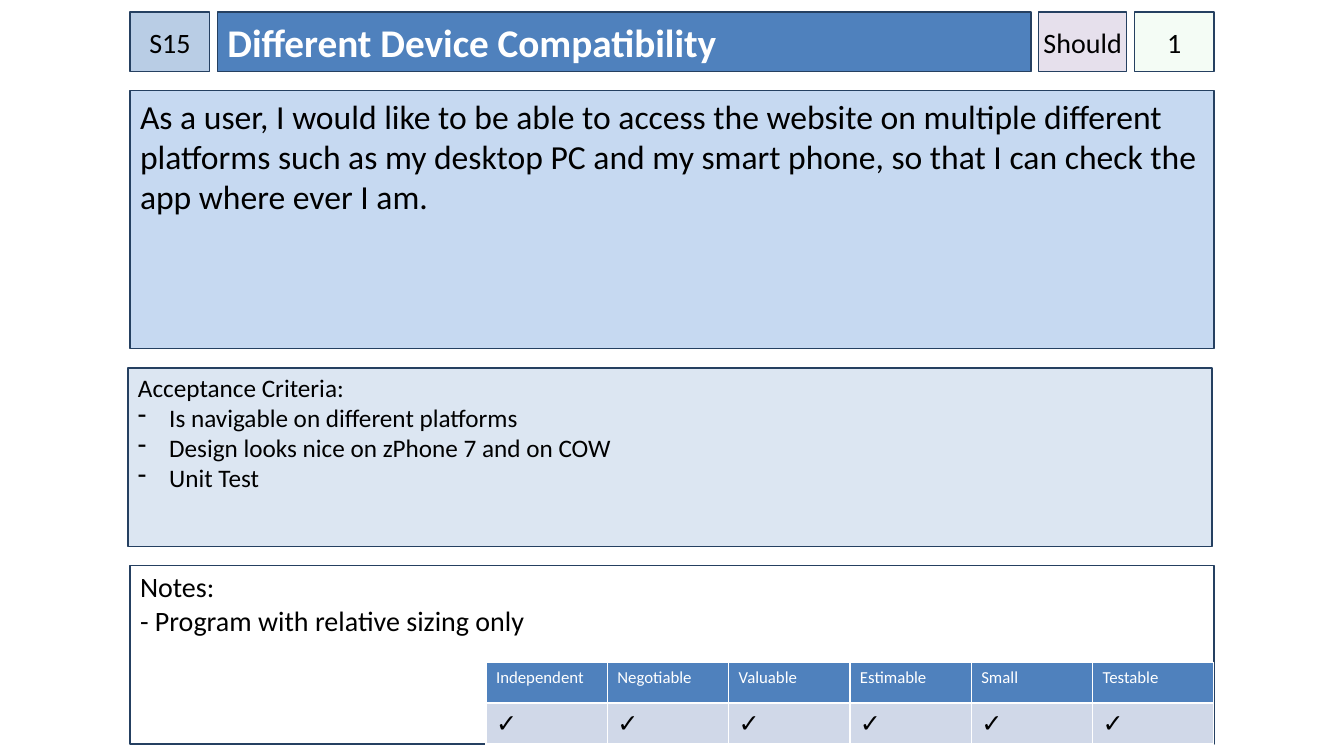
from dataclasses import dataclass

from lxml import etree
from pptx import Presentation
from pptx.dml.color import RGBColor
from pptx.enum import shapes, text
from pptx.oxml.ns import qn
from pptx.util import Inches, Pt


@dataclass(frozen=True)
class Theme:
    font: str = "Calibri"
    ink: str = "000000"
    white: str = "FFFFFF"
    outline: str = "254061"
    accent: str = "4F81BD"
    story_id: str = "B9CDE5"
    priority: str = "E6E0EC"
    points: str = "CCF0CD"
    story: str = "C6D9F1"
    criteria: str = "DCE6F2"
    check_row: str = "D0D8E8"
    title_size: int = 28
    story_size: int = 24
    tag_size: int = 20
    criteria_size: int = 18
    head_size: int = 12


T = Theme()

# Header boxes, left to right: text, width, fill, opacity in percent, is title
HEADER = [
    ("S15", 0.79, T.story_id, 100, False),
    ("Different Device Compatibility", 8.07, T.accent, 100, True),
    ("Should", 0.87, T.priority, 100, False),
    ("1", 0.79, T.points, 20, False),
]
# Panels, top to bottom: lines, bullets, height, left shift, top inset, fill, size
PANELS = [
    (["As a user, I would like to be able to access the website on multiple "
      "different platforms such as my desktop PC and my smart phone, so that "
      "I can check the app where ever I am."],
     [], 2.56, 0, 0.05, T.story, T.story_size),
    (["Acceptance Criteria:"],
     ["Is navigable on different platforms",
      "Design looks nice on zPhone 7 and on COW",
      "Unit Test"],
     1.77, -0.02, 0.04, T.criteria, T.criteria_size),
    (["Notes:", "- Program with relative sizing only"],
     [], 1.77, 0, 0.04, T.white, T.tag_size),
]
INVEST = ["Independent", "Negotiable", "Valuable", "Estimable", "Small", "Testable"]
CHECK = "✓"

LEFT, TOP, WIDTH = 1.29, 0.12, 10.75
HEADER_H, PANEL_GAP = 0.59, 0.19
TABLE_W, ROW_H = 7.22, 0.405
BULLET_INDENT = 0.31


def add_run(p, words, size, color=T.ink, bold=False):
    r = p.add_run()
    r.text = words
    r.font.name, r.font.size, r.font.bold = T.font, Pt(size), bold
    r.font.color.rgb = RGBColor.from_string(color)


def add_box(slide, left, top, width, height, fill, anchor, side=0.1, top_inset=0.05):
    sp = slide.shapes.add_shape(shapes.MSO_SHAPE.RECTANGLE, Inches(left), Inches(top),
                                Inches(width), Inches(height))
    sp.shadow.inherit = False
    sp.fill.solid()
    sp.fill.fore_color.rgb = RGBColor.from_string(fill)
    sp.line.color.rgb = RGBColor.from_string(T.outline)
    sp.line.width = Pt(1)
    tf = sp.text_frame
    tf.word_wrap = True
    tf.vertical_anchor = anchor
    tf.margin_left = tf.margin_right = Inches(side)
    tf.margin_top, tf.margin_bottom = Inches(top_inset), Inches(0.05)
    return sp


def set_opacity(sp, percent):
    color = sp.fill._xPr.find(qn("a:solidFill"))[0]
    etree.SubElement(color, qn("a:alpha"), val=str(percent * 1000))


def add_dash(p):
    pPr = p._p.get_or_add_pPr()
    pPr.set("marL", str(Inches(BULLET_INDENT)))
    pPr.set("indent", str(-Inches(BULLET_INDENT)))
    etree.SubElement(pPr, qn("a:buChar"), char="-")


def add_header(slide):
    gap = (WIDTH - sum(item[1] for item in HEADER)) / (len(HEADER) - 1)
    left = LEFT
    for words, width, fill, opacity, is_title in HEADER:
        sp = add_box(slide, left, TOP, width, HEADER_H, fill,
                     text.MSO_ANCHOR.MIDDLE, side=0.1 if is_title else 0)
        if opacity < 100:
            set_opacity(sp, opacity)
        p = sp.text_frame.paragraphs[0]
        if is_title:
            p.alignment = text.PP_ALIGN.LEFT
            add_run(p, words, T.title_size, T.white, bold=True)
        else:
            p.alignment = text.PP_ALIGN.CENTER
            add_run(p, words, T.tag_size)
        left += width + gap


def add_panels(slide):
    """Stack the panels and return the bottom edge of the last one."""
    bottom = TOP + HEADER_H
    for lines, bullets, height, shift, inset, fill, size in PANELS:
        top = bottom + PANEL_GAP
        sp = add_box(slide, LEFT + shift, top, WIDTH, height, fill,
                     text.MSO_ANCHOR.TOP, top_inset=inset)
        tf = sp.text_frame
        for i, words in enumerate(lines + bullets):
            p = tf.add_paragraph() if i else tf.paragraphs[0]
            p.alignment = text.PP_ALIGN.LEFT
            if i >= len(lines):
                add_dash(p)
            add_run(p, words, size)
        bottom = top + height
    return bottom


def fill_cell(cell, words, size, color, fill):
    add_run(cell.text_frame.paragraphs[0], words, size, color)
    tcPr = cell._tc.get_or_add_tcPr()
    for side in ("a:lnL", "a:lnR", "a:lnT", "a:lnB"):
        ln = etree.SubElement(tcPr, qn(side), w=str(Pt(1)))
        solid = etree.SubElement(ln, qn("a:solidFill"))
        etree.SubElement(solid, qn("a:srgbClr"), val=T.white)
    cell.fill.solid()
    cell.fill.fore_color.rgb = RGBColor.from_string(fill)


def add_invest_table(slide, bottom):
    frame = slide.shapes.add_table(
        2, len(INVEST), Inches(LEFT + WIDTH - TABLE_W), Inches(bottom - 2 * ROW_H),
        Inches(TABLE_W), Inches(2 * ROW_H))
    table = frame.table
    table.first_row = table.horz_banding = False
    for col, name in enumerate(INVEST):
        fill_cell(table.cell(0, col), name, T.head_size, T.white, T.accent)
        fill_cell(table.cell(1, col), CHECK, T.criteria_size, T.ink, T.check_row)


def main():
    prs = Presentation()
    prs.slide_width, prs.slide_height = Inches(13.33), Inches(7.5)
    slide = prs.slides.add_slide(prs.slide_layouts[6])
    add_header(slide)
    bottom = add_panels(slide)
    add_invest_table(slide, bottom)
    prs.save("out.pptx")


if __name__ == "__main__":
    main()
